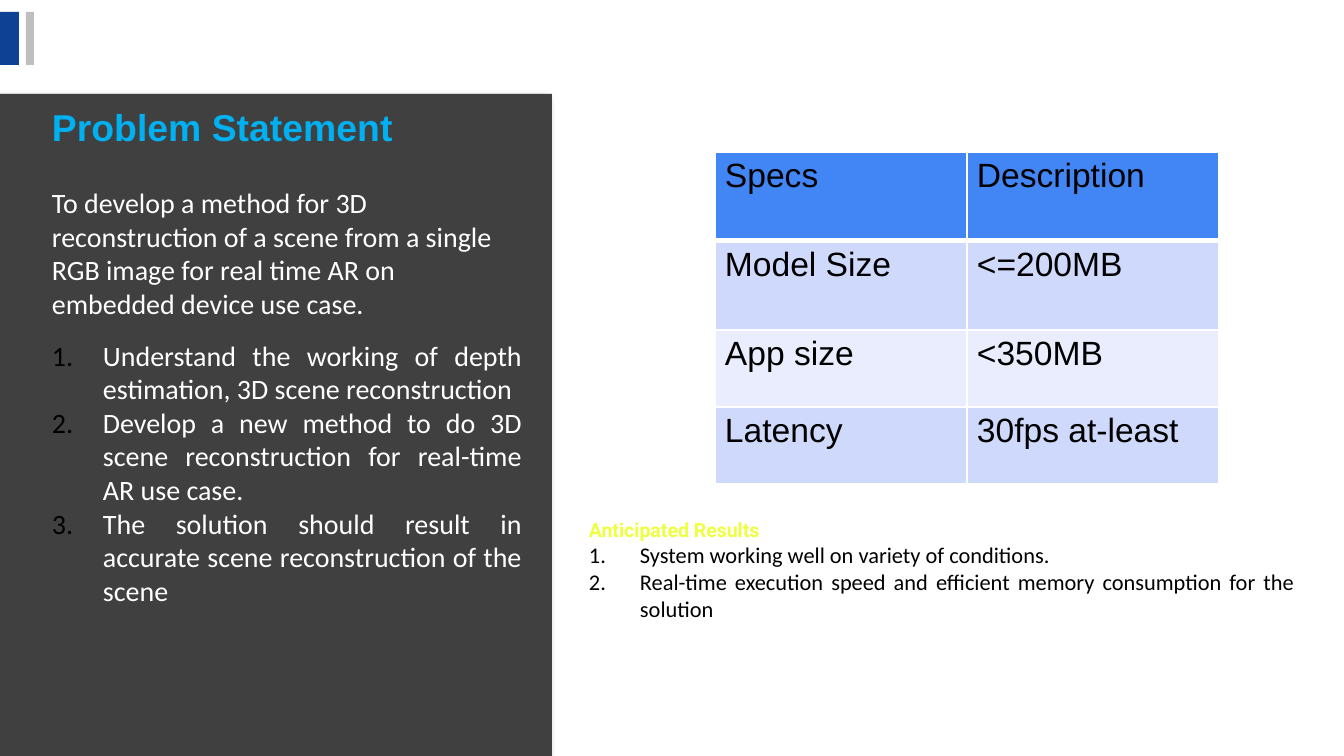
import lxml.etree
import pptx
import pptx.dml.color
import pptx.enum.shapes
import pptx.enum.text
import pptx.oxml
import pptx.oxml.ns
import pptx.util

PX = 914400 / 134.4

THEME = {
    "panel": "404040", "blue_bar": "0E4094", "grey_bar": "BFBFBF",
    "title": "00B0F0", "results": "EEFF41", "light": "FFFFFF", "dark": "000000",
    "header": "4285F4", "odd_row": "CFD9FB", "even_row": "E9EDFD",
    "title_size": 20, "body_size": 15, "table_size": 18,
    "results_size": 10.5, "note_size": 12,
}


def px(*lengths):
    """Turn pixel lengths into EMU."""
    return [pptx.util.Emu(round(length * PX)) for length in lengths]


def format_paragraph(paragraph, font, size, color, bold=False, numbered=False, before=0):
    paragraph.space_before = px(before)[0]
    if numbered:
        paragraph.alignment = pptx.enum.text.PP_ALIGN.JUSTIFY
        properties = paragraph._p.get_or_add_pPr()
        indent = px(51)[0]
        properties.set("marL", str(indent))
        properties.set("indent", str(-indent))
        bullet_color = lxml.etree.SubElement(properties, pptx.oxml.ns.qn("a:buClr"))
        lxml.etree.SubElement(bullet_color, pptx.oxml.ns.qn("a:srgbClr"), val=THEME["dark"])
        lxml.etree.SubElement(properties, pptx.oxml.ns.qn("a:buAutoNum"), type="arabicPeriod")
    for run in paragraph.runs:
        run.font.name = font
        run.font.size = pptx.util.Pt(THEME[size])
        run.font.bold = bold
        run.font.color.rgb = pptx.dml.color.RGBColor.from_string(THEME[color])


presentation = pptx.Presentation()
presentation.slide_width, presentation.slide_height = px(1344, 756)
slide = presentation.slides.add_slide(presentation.slide_layouts[6])

# Side panel and the two bars at the top left
rectangles = {}
for color, box in [
    ("panel", (0, 94, 552, 662)),
    ("blue_bar", (0, 12, 19, 53)),
    ("grey_bar", (26, 12, 8, 53)),
]:
    shape = slide.shapes.add_shape(pptx.enum.shapes.MSO_SHAPE.RECTANGLE, *px(*box))
    shape.shadow.inherit = False
    shape.fill.solid()
    shape.fill.fore_color.rgb = pptx.dml.color.RGBColor.from_string(THEME[color])
    shape.line.fill.background()
    rectangles[color] = shape

effects = rectangles["panel"]._element.spPr.find(pptx.oxml.ns.qn("a:effectLst"))
effects.append(pptx.oxml.parse_xml(
    f'<a:outerShdw {pptx.oxml.ns.nsdecls("a")} blurRad="50800" dist="38100" dir="8100000">'
    f'<a:srgbClr val="{THEME["dark"]}"><a:alpha val="40000"/></a:srgbClr></a:outerShdw>'
))

# Problem statement and anticipated results
goal = ("Calibri", "body_size", "light")
note = ("Calibri", "note_size", "dark")
text_boxes = [
    ((42, 99, 490, 530), [
        ("Problem Statement", ("Arial", "title_size", "title", True)),
        ("To develop a method for 3D reconstruction of a scene from a single RGB image "
         "for real time AR on embedded device use case.", (*goal, False, False, 37)),
        ("Understand the working of depth estimation, 3D scene reconstruction",
         (*goal, False, True, 18)),
        ("Develop a new method to do 3D scene reconstruction for real-time AR use case.",
         (*goal, False, True)),
        ("The solution should result in accurate scene reconstruction of the scene",
         (*goal, False, True)),
    ]),
    ((579, 513, 726, 116), [
        ("Anticipated Results", ("Roboto", "results_size", "results", True)),
        ("System working well on variety of conditions.", (*note, False, True)),
        ("Real-time execution speed and efficient memory consumption for the solution",
         (*note, False, True)),
    ]),
]
for box, lines in text_boxes:
    text_frame = slide.shapes.add_textbox(*px(*box)).text_frame
    text_frame.word_wrap = True
    text_frame.margin_left = text_frame.margin_right = px(10)[0]
    text_frame.margin_top = text_frame.margin_bottom = px(5)[0]
    text_frame.text = "\n".join(text for text, style in lines)
    for paragraph, (text, style) in zip(text_frame.paragraphs, lines):
        format_paragraph(paragraph, *style)

# Specification table
specs = [
    ("Specs", "Description"),
    ("Model Size", "<=200MB"),
    ("App size", "<350MB"),
    ("Latency", "30fps at-least"),
]
row_heights = [89, 89, 77, 77]
row_fills = ["header", "odd_row", "even_row", "odd_row"]
table = slide.shapes.add_table(
    len(specs), 2, *px(715, 152, 504, sum(row_heights))
).table
table.first_row = table.horz_banding = False
for row_index, values in enumerate(specs):
    table.rows[row_index].height = px(row_heights[row_index])[0]
    for column_index, value in enumerate(values):
        cell = table.cell(row_index, column_index)
        cell.margin_left = cell.margin_right = px(10)[0]
        cell.margin_top = cell.margin_bottom = px(5)[0]
        cell.text_frame.text = value
        format_paragraph(cell.text_frame.paragraphs[0], "Arial", "table_size", "dark")
        cell_properties = cell._tc.get_or_add_tcPr()
        for side in "LRTB":
            points = 3 if row_index == 0 and side == "B" else 1
            cell_properties.append(pptx.oxml.parse_xml(
                f'<a:ln{side} {pptx.oxml.ns.nsdecls("a")} w="{pptx.util.Pt(points)}">'
                f'<a:solidFill><a:srgbClr val="{THEME["light"]}"/></a:solidFill></a:ln{side}>'
            ))
        cell.fill.solid()
        cell.fill.fore_color.rgb = pptx.dml.color.RGBColor.from_string(
            THEME[row_fills[row_index]]
        )

presentation.save("out.pptx")
